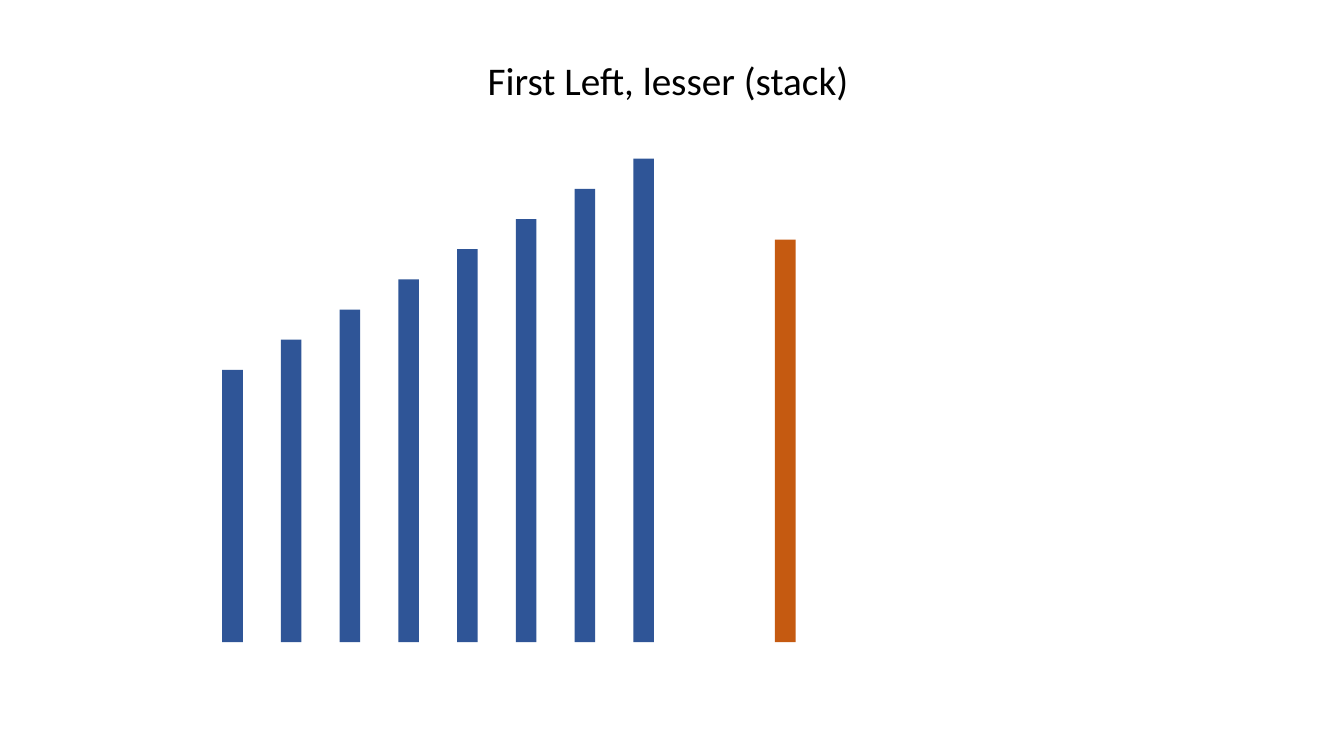
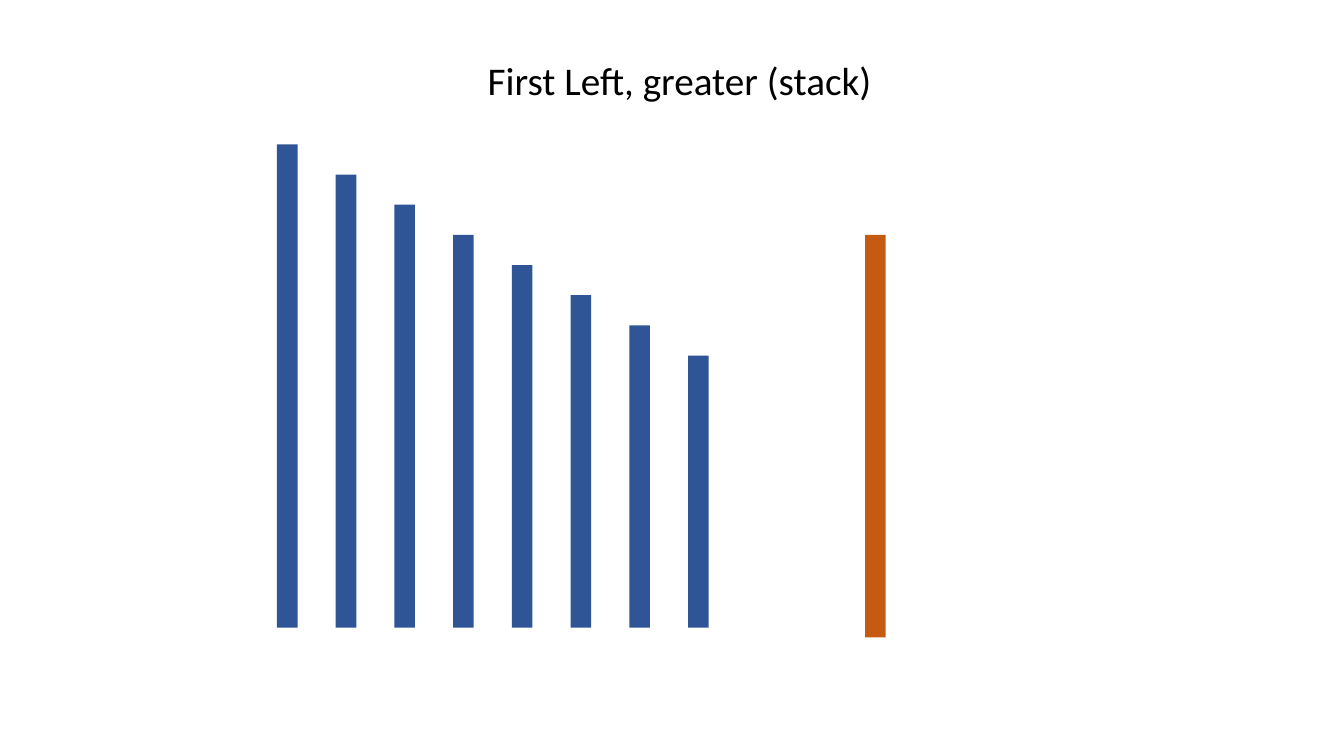
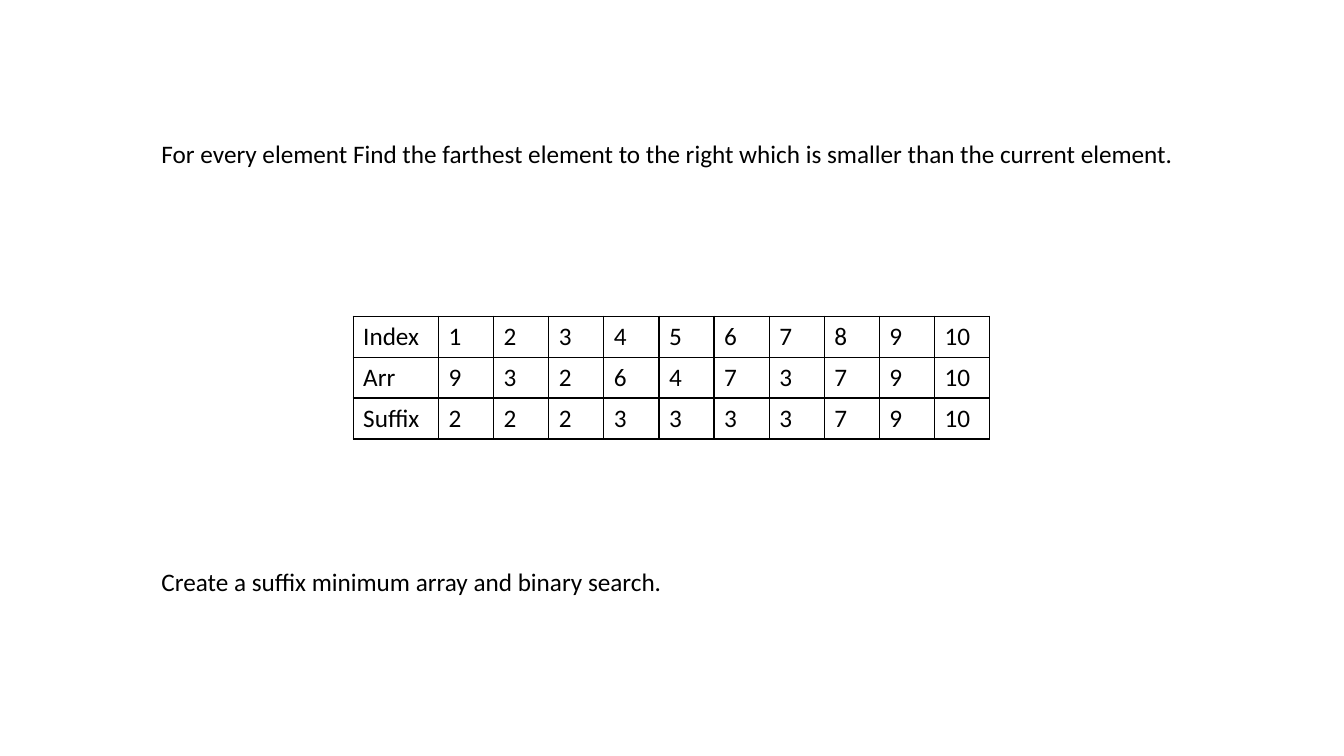
from pptx import Presentation
from pptx.dml.color import RGBColor
from pptx.enum import shapes, text
from pptx.oxml import parse_xml
from pptx.oxml.ns import nsdecls
from pptx.util import Cm, Pt

FONT = "Calibri"
BLACK, BLUE, ORANGE = "000000", "2F5597", "C55A11"
TITLE_SIZE, BODY_SIZE = 28, 18

BAR_WIDTH, BAR_PITCH = 0.52, 1.48
BAR_COUNT, SHORTEST_BAR, BAR_STEP = 8, 6.86, 0.76
CURRENT_HEIGHT = 10.14


def color(value):
    return RGBColor.from_string(value)


def add_span(para, words, size):
    span = para.add_run()
    span.text = words
    span.font.name = FONT
    span.font.size = Pt(size)
    span.font.color.rgb = color(BLACK)


def add_text(page, words, size, left, top, width, height):
    box = page.shapes.add_textbox(Cm(left), Cm(top), Cm(width), Cm(height))
    box.text_frame.word_wrap = True
    box.text_frame.auto_size = text.MSO_AUTO_SIZE.NONE
    add_span(box.text_frame.paragraphs[0], words, size)


def add_bar(page, left, bottom, height, fill):
    bar = page.shapes.add_shape(shapes.MSO_SHAPE.RECTANGLE, Cm(left),
                                Cm(bottom - height), Cm(BAR_WIDTH), Cm(height))
    bar.shadow.inherit = False
    bar.fill.solid()
    bar.fill.fore_color.rgb = color(fill)
    bar.line.fill.background()


def add_stack(page, left, bottom, rising):
    """Evenly spaced bars whose heights change by one step each."""
    for place in range(BAR_COUNT):
        steps = place if rising else BAR_COUNT - 1 - place
        add_bar(page, left + place * BAR_PITCH, bottom,
                SHORTEST_BAR + steps * BAR_STEP, BLUE)


def stack_slide(deck, title, title_width, stack_corner, current_corner, rising):
    page = deck.slides.add_slide(deck.slide_layouts[6])
    add_stack(page, *stack_corner, rising)
    add_text(page, title, TITLE_SIZE, 12.04, 1.3, title_width, 1.45)
    # Element being compared with the stack
    add_bar(page, *current_corner, CURRENT_HEIGHT, ORANGE)


def style_cell(cell, words):
    cell.fill.background()
    add_span(cell.text_frame.paragraphs[0], words, BODY_SIZE)
    # Borders come before the fill in the cell properties
    properties = cell._tc.get_or_add_tcPr()
    for place, side in enumerate(("lnL", "lnR", "lnT", "lnB")):
        properties.insert(place, parse_xml(
            f'<a:{side} {nsdecls("a")} w="{Pt(1)}"><a:solidFill>'
            f'<a:srgbClr val="{BLACK}"/></a:solidFill></a:{side}>'))


def add_array_table(page, rows, left, top, label_width, value_width, row_height):
    columns = len(rows[0])
    width = label_width + (columns - 1) * value_width
    table = page.shapes.add_table(len(rows), columns, Cm(left), Cm(top),
                                  Cm(width), Cm(row_height * len(rows))).table
    table.first_row = table.horz_banding = False
    for number, column in enumerate(table.columns):
        column.width = Cm(value_width if number else label_width)
    for row, values in zip(table.rows, rows):
        row.height = Cm(row_height)
        for cell, value in zip(row.cells, values):
            style_cell(cell, str(value))


def suffix_slide(deck):
    page = deck.slides.add_slide(deck.slide_layouts[6])
    values = [9, 3, 2, 6, 4, 7, 3, 7, 9, 10]
    suffix = [min(values[start:]) for start in range(len(values))]
    rows = [["Index", *range(1, len(values) + 1)],
            ["Arr", *values],
            ["Suffix", *suffix]]
    add_array_table(page, rows, 8.9, 7.97, 2.15, 1.39, 1.03)
    # Problem above the table, approach below it
    add_text(page, "For every element Find the farthest element to the right "
             "which is smaller than the current element.",
             BODY_SIZE, 3.82, 3.36, 26.26, 1.03)
    add_text(page, "Create a suffix minimum array and binary search.",
             BODY_SIZE, 3.82, 14.15, 13.4, 1.03)


deck = Presentation()
deck.slide_width, deck.slide_height = Cm(33.87), Cm(19.05)
stack_slide(deck, "First Left, lesser (stack)", 9.73,
            (5.6, 16.18), (19.53, 16.18), rising=True)
stack_slide(deck, "First Left, greater (stack)", 10.31,
            (6.98, 15.82), (21.8, 16.06), rising=False)
suffix_slide(deck)
deck.save("out.pptx")
